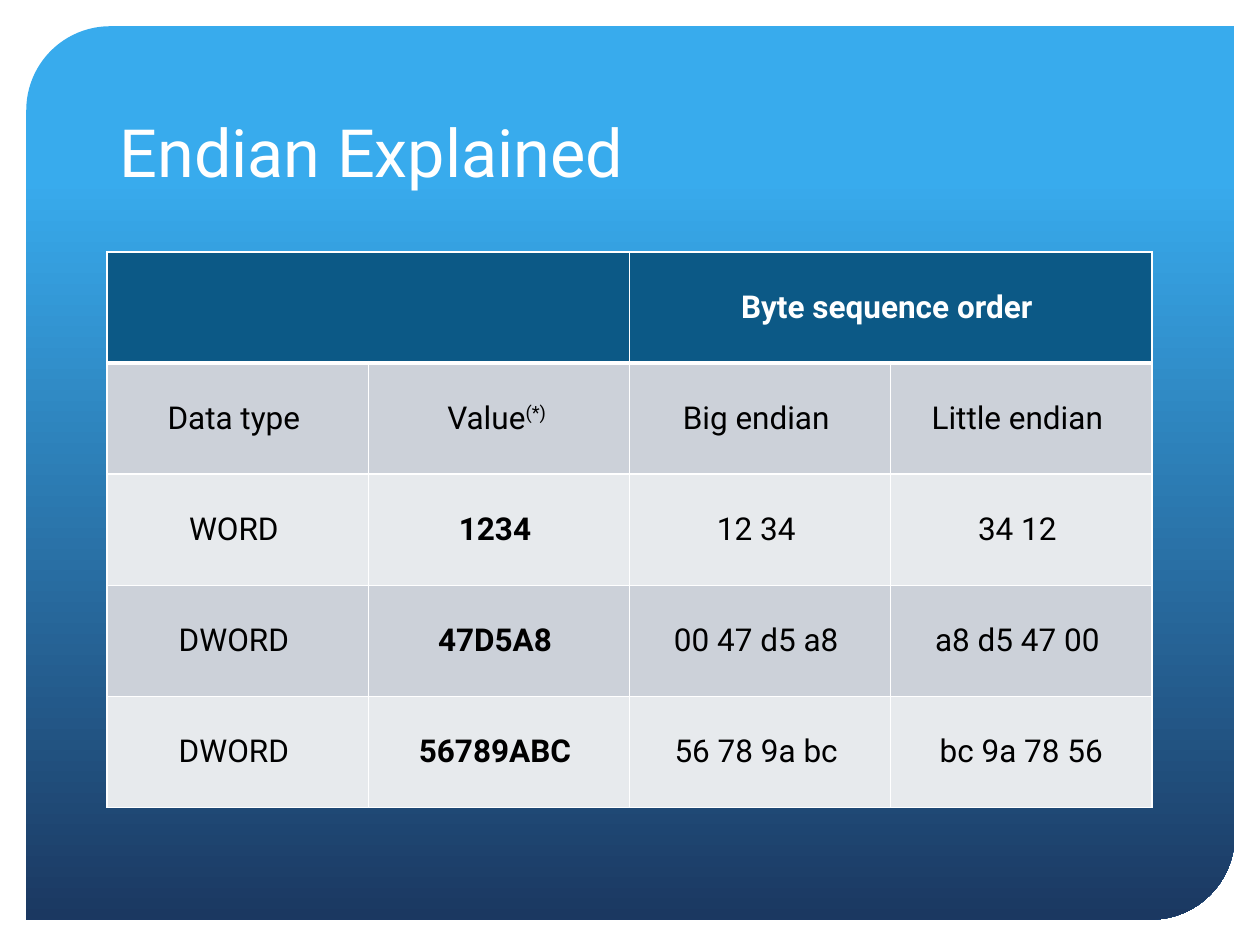
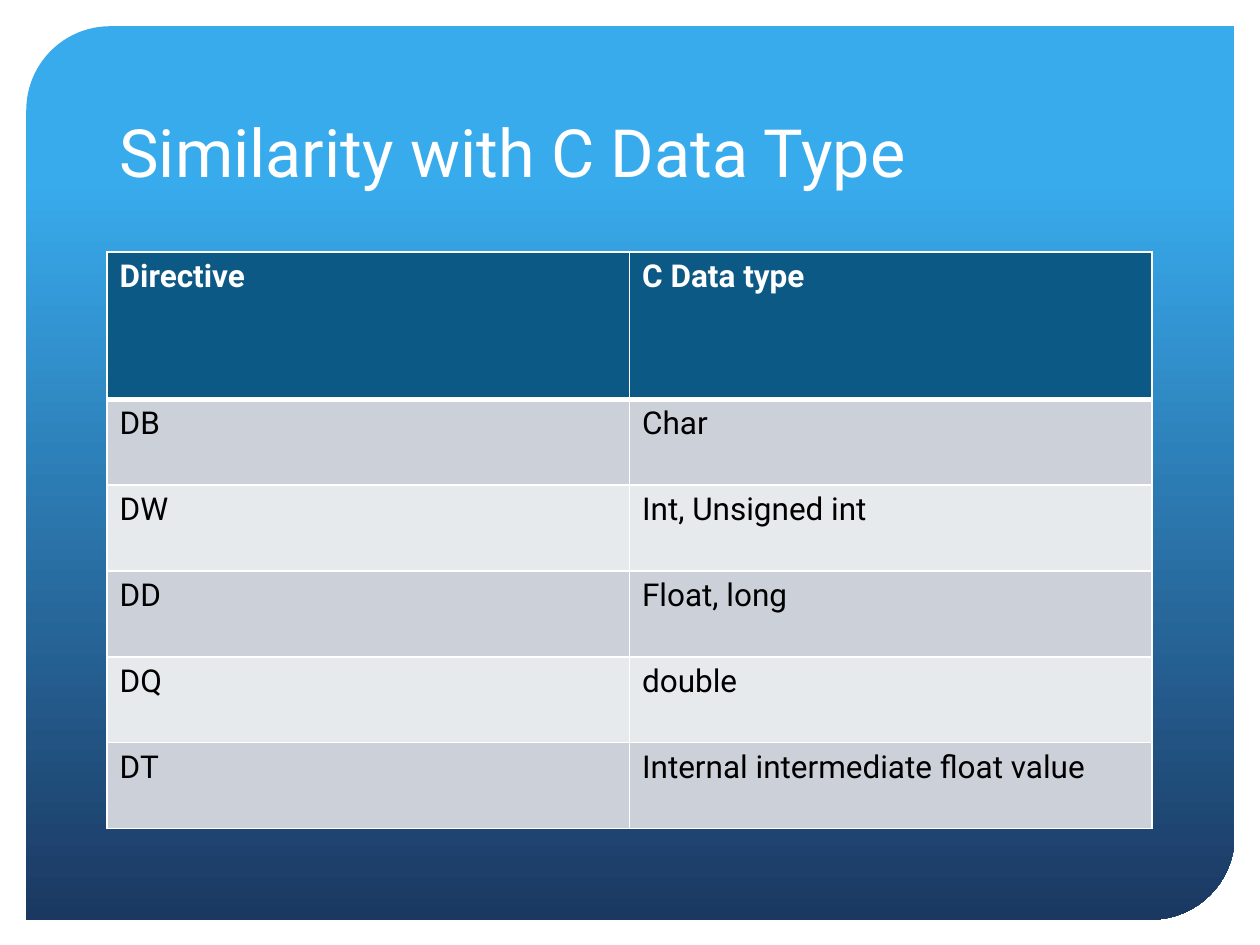
from dataclasses import dataclass

from pptx import Presentation
from pptx.dml.color import RGBColor
from pptx.enum.shapes import MSO_SHAPE
from pptx.enum.text import MSO_ANCHOR, PP_ALIGN
from pptx.oxml.ns import qn
from pptx.util import Cm, Pt
from lxml import etree

PANEL_SHAPE = MSO_SHAPE.ROUND_2_DIAG_RECTANGLE
TOP, MIDDLE, BOTTOM = MSO_ANCHOR.TOP, MSO_ANCHOR.MIDDLE, MSO_ANCHOR.BOTTOM
LEFT, CENTER = PP_ALIGN.LEFT, PP_ALIGN.CENTER


@dataclass(frozen=True)
class Theme:
    font: str = "Roboto"
    title_size: int = 38
    table_size: int = 18
    white: str = "FFFFFF"
    black: str = "000000"
    panel_top: str = "38ABED"
    panel_bottom: str = "1B3861"
    header: str = "0C5986"
    bands: tuple = ("CCD1D9", "E7EAED")
    rule: int = 1
    header_rule: int = 3


class Deck:
    left, width = Cm(2.16), Cm(21.06)

    def __init__(self, theme):
        self.theme = theme
        self.prs = Presentation()
        self.prs.slide_width, self.prs.slide_height = Cm(25.4), Cm(19.05)
        self.s = None

    def slide(self, title):
        self.s = self.prs.slides.add_slide(self.prs.slide_layouts[6])
        self.panel()
        self.title(title)

    def panel(self):
        sp = self.s.shapes.add_shape(PANEL_SHAPE, Cm(0.53), Cm(0.53), Cm(24.36), Cm(18.01))
        sp.adjustments[0], sp.adjustments[1] = 0.094, 0
        sp.shadow.inherit = False
        sp.line.fill.background()
        sp.fill.gradient()
        sp.fill.gradient_angle = 270
        stops = ((0.17, self.theme.panel_top), (1, self.theme.panel_bottom))
        for stop, (position, color) in zip(sp.fill.gradient_stops, stops):
            stop.position = position
            stop.color.rgb = RGBColor.from_string(color)

    def title(self, text):
        tf = self.s.shapes.add_textbox(self.left, Cm(1.07), self.width, Cm(2.9)).text_frame
        tf.word_wrap = True
        tf.vertical_anchor = BOTTOM
        self.run(tf.paragraphs[0], text, self.theme.title_size, self.theme.white)

    def run(self, p, text, size, color, bold=False):
        r = p.add_run()
        r.text = text
        r.font.name, r.font.size, r.font.bold = self.theme.font, Pt(size), bold
        r.font.color.rgb = RGBColor.from_string(color)
        return r

    def borders(self, cell, top, bottom):
        """Draw white rules on the four sides of a cell."""
        tcPr = cell._tc.get_or_add_tcPr()
        rule = self.theme.rule
        for side, width in (("L", rule), ("R", rule), ("T", top), ("B", bottom)):
            ln = etree.SubElement(tcPr, qn(f"a:ln{side}"), w=str(Pt(width)))
            fill = etree.SubElement(ln, qn("a:solidFill"))
            etree.SubElement(fill, qn("a:srgbClr"), val=self.theme.white)

    def table(self, rows, heights, align=LEFT, anchor=TOP, margin=None, bold_col=None):
        """Each cell is a string, or a (text, superscript) pair."""
        th = self.theme
        cols = len(rows[0])
        frame = self.s.shapes.add_table(
            len(rows), cols, self.left, Cm(5.08), self.width, sum(heights))
        tbl = frame.table
        for col in tbl.columns:
            col.width = self.width // cols
        for i, row in enumerate(rows):
            tbl.rows[i].height = heights[i]
            head = i == 0
            for j, content in enumerate(row):
                cell = tbl.cell(i, j)
                self.borders(cell, th.header_rule if i == 1 else th.rule,
                             th.header_rule if head else th.rule)
                cell.fill.solid()
                cell.fill.fore_color.rgb = RGBColor.from_string(
                    th.header if head else th.bands[(i - 1) % 2])
                cell.vertical_anchor = anchor
                if margin is not None:
                    cell.margin_left = cell.margin_right = margin
                    cell.margin_top = cell.margin_bottom = margin
                p = cell.text_frame.paragraphs[0]
                p.alignment = align
                text, sup = content if isinstance(content, tuple) else (content, "")
                color = th.white if head else th.black
                bold = head or (j == bold_col and i > 1)
                if text:
                    self.run(p, text, th.table_size, color, bold)
                if sup:
                    r = self.run(p, sup, th.table_size, color, bold)
                    r.font._element.set("baseline", "30000")
        return tbl


def main():
    deck = Deck(Theme())

    # Byte order of sample values
    deck.slide("Endian Explained")
    endian_rows = [
        ("", "", "Byte sequence order ", ""),
        ("Data type ", ("Value", "(*) "), "Big endian ", "Little endian "),
        ("WORD ", "1234 ", "12 34 ", "34 12 "),
        ("DWORD ", "47D5A8 ", "00 47 d5 a8 ", "a8 d5 47 00 "),
        ("DWORD ", "56789ABC ", "56 78 9a bc ", "bc 9a 78 56"),
    ]
    tbl = deck.table(endian_rows, [Cm(2.24)] * len(endian_rows),
                     CENTER, MIDDLE, margin=Cm(0.18), bold_col=1)
    for first in (0, 2):
        tbl.cell(0, first).merge(tbl.cell(0, first + 1))

    # Assembler directives and their C types
    deck.slide("Similarity with C Data Type")
    type_rows = [
        ("Directive", "C Data type"),
        ("DB", "Char"),
        ("DW", "Int, Unsigned int"),
        ("DD", "Float, long"),
        ("DQ", "double"),
        ("DT", "Internal intermediate float value"),
    ]
    deck.table(type_rows, [Cm(2.97)] + [Cm(1.73)] * (len(type_rows) - 1))

    deck.prs.save("out.pptx")


if __name__ == "__main__":
    main()
